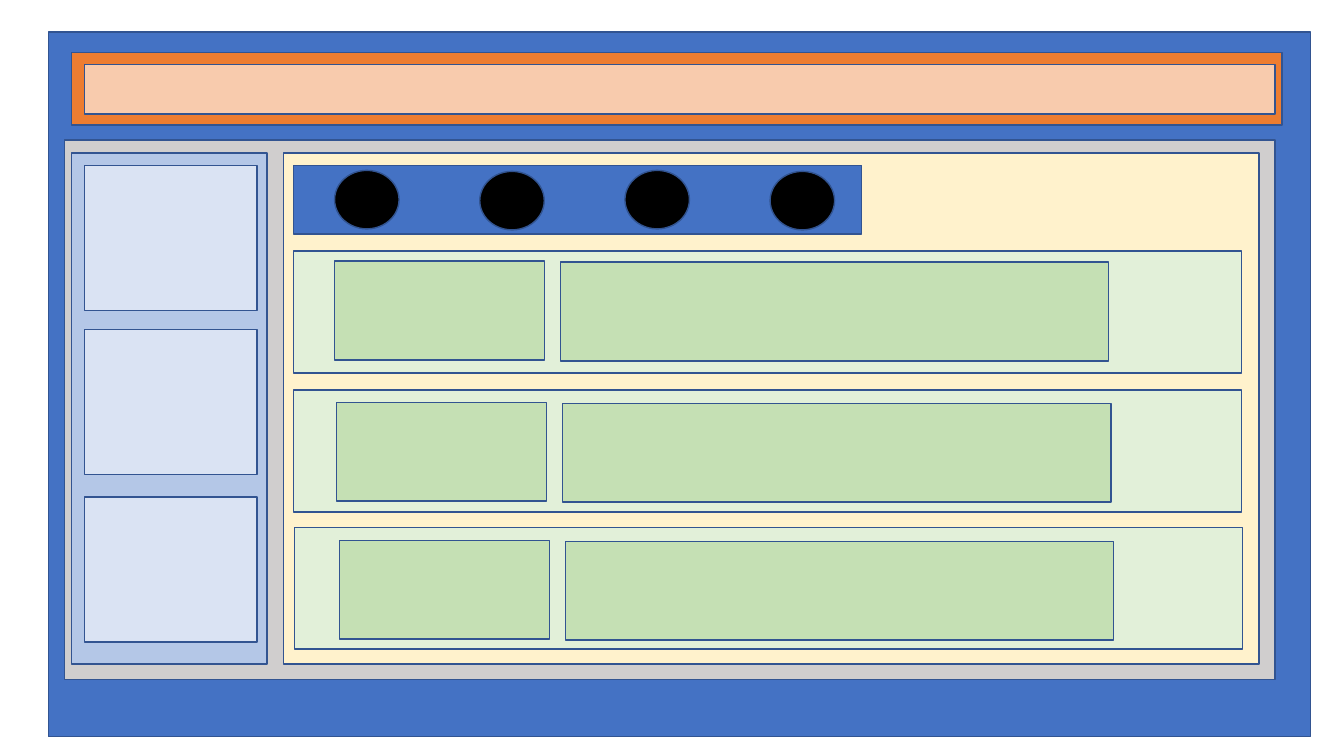
from pptx import Presentation
from pptx.dml.color import RGBColor
from pptx.enum import shapes
from pptx.util import Pt

COLORS = {
    "frame": "4472C4",
    "header": "ED7D31",
    "header_bar": "F8CBAD",
    "body": "D0CECE",
    "sidebar": "B4C7E7",
    "card": "DAE3F3",
    "content": "FFF2CC",
    "row": "E2F0D9",
    "row_box": "C5E0B4",
    "dot": "000000",
    "outline": "325491",
}
RECTANGLE = shapes.MSO_SHAPE.RECTANGLE
OVAL = shapes.MSO_SHAPE.OVAL


def add_block(slide, color, left, top, width, height, kind=RECTANGLE):
    shape = slide.shapes.add_shape(kind, Pt(left), Pt(top), Pt(width), Pt(height))
    shape.shadow.inherit = False
    shape.fill.solid()
    shape.fill.fore_color.rgb = RGBColor.from_string(COLORS[color])
    shape.line.color.rgb = RGBColor.from_string(COLORS["outline"])
    shape.line.width = Pt(1)


def add_header(slide):
    add_block(slide, "header", 51.1, 37.4, 864.7, 51.8)
    add_block(slide, "header_bar", 60.5, 46.1, 850.3, 35.3)


def add_sidebar(slide):
    add_block(slide, "sidebar", 51.1, 109.4, 139.7, 365)
    for top in (118.1, 235.4, 355):
        add_block(slide, "card", 60.5, top, 123.1, 103.7)


def add_navigation(slide):
    add_block(slide, "frame", 209.5, 118.1, 406.1, 49)
    for index in range(4):
        top = 121.7 + 0.7 * (index % 2)
        add_block(slide, "dot", 239 + 103.7 * index, top, 46.1, 41.8, OVAL)


def add_row(slide, left, top, box_left, box_top):
    add_block(slide, "row", left, top, 677.5, 87.1)
    add_block(slide, "row_box", box_left, box_top, 149.8, 70.6)
    add_block(slide, "row_box", box_left + 161.3, box_top + 0.7, 391.7, 70.6)


def main():
    presentation = Presentation()
    presentation.slide_width = Pt(960)
    presentation.slide_height = Pt(540)
    slide = presentation.slides.add_slide(presentation.slide_layouts[6])

    add_block(slide, "frame", 34.6, 23, 901.4, 503.3)
    add_header(slide)
    add_block(slide, "body", 46.1, 100.1, 864.7, 385.2)
    add_sidebar(slide)
    add_block(slide, "content", 202.3, 109.4, 697, 365)
    add_navigation(slide)
    for row in (
        (209.5, 179.3, 239, 186.5),
        (209.5, 278.6, 240.5, 287.3),
        (210.2, 376.6, 242.6, 385.9),
    ):
        add_row(slide, *row)

    presentation.save("out.pptx")


main()
